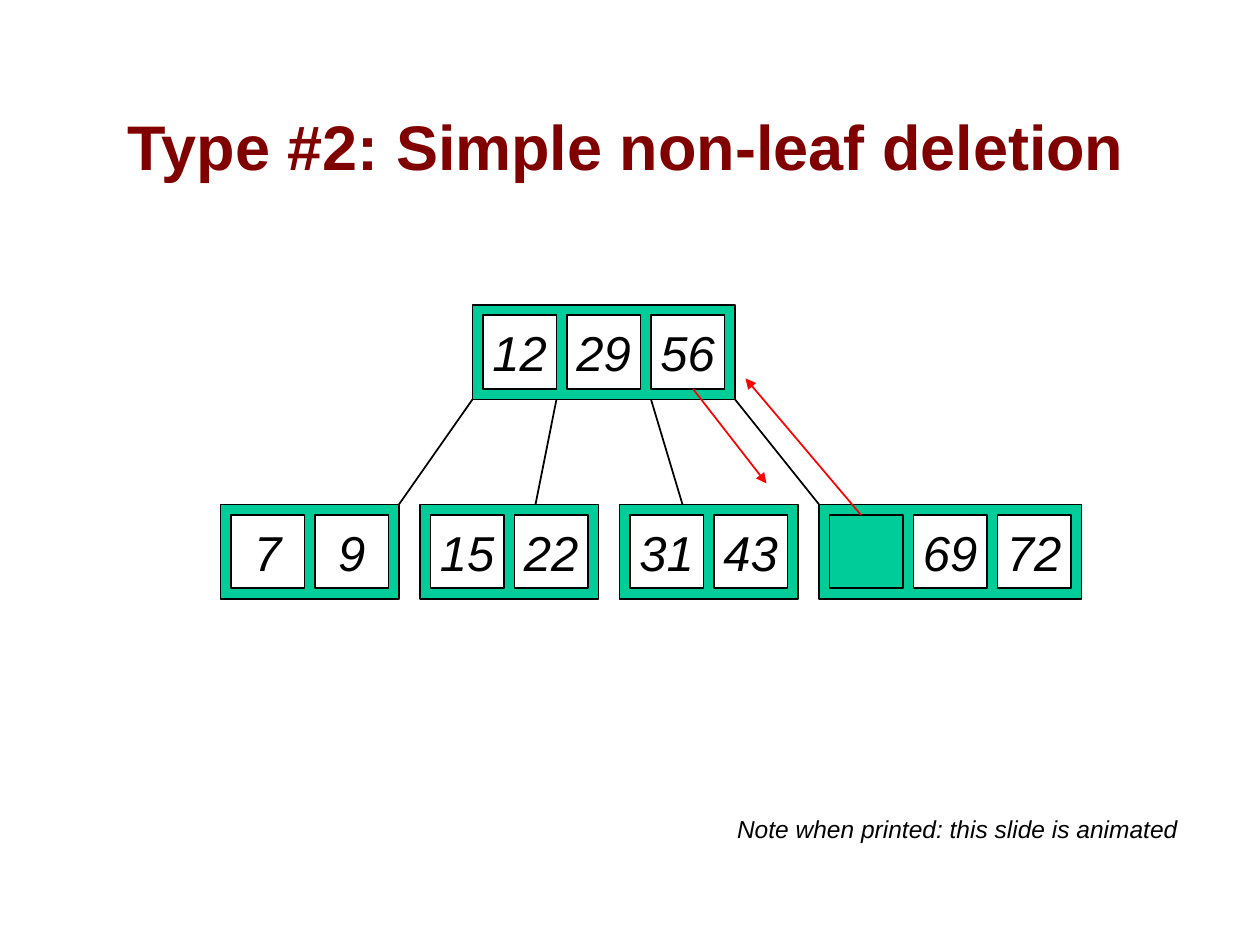
from lxml import etree
from pptx import Presentation
from pptx.dml.color import RGBColor
from pptx.enum import shapes, text
from pptx.oxml.ns import qn
from pptx.util import Inches, Pt

BLACK = RGBColor(0x00, 0x00, 0x00)
WHITE = RGBColor(0xFF, 0xFF, 0xFF)
GREEN = RGBColor(0x00, 0xCC, 0x99)
RED = RGBColor(0xFF, 0x00, 0x00)
MAROON = RGBColor(0x80, 0x00, 0x00)

# The tree sits on a grid of twelfths of an inch
UNIT = Inches(1) // 12
PAD = UNIT
CELL = 7 * UNIT
PITCH = CELL + PAD
NODE_HEIGHT = CELL + 2 * PAD
LEAF_GAP = 2 * UNIT

ROOT = ["12", "29", "56"]
LEAVES = [["7", "9"], ["15", "22"], ["31", "43"], [None, "69", "72"]]


def style_text(frame, words, size, color, bold=False, italic=False):
    paragraph = frame.paragraphs[0]
    paragraph.text = words
    paragraph.alignment = text.PP_ALIGN.CENTER
    font = paragraph.font
    font.name, font.size, font.bold, font.italic = "Arial", Pt(size), bold, italic
    font.color.rgb = color


def add_label(slide, left, top, width, height, words, anchor, wrap, **style):
    frame = slide.shapes.add_textbox(left, top, width, height).text_frame
    frame.word_wrap = wrap
    frame.vertical_anchor = anchor
    style_text(frame, words, **style)


def add_box(slide, left, top, width, height, fill):
    box = slide.shapes.add_shape(shapes.MSO_SHAPE.RECTANGLE, left, top, width, height)
    box.shadow.inherit = False
    box.fill.solid()
    box.fill.fore_color.rgb = fill
    box.line.color.rgb = BLACK
    box.line.width = Pt(1)
    return box


def add_line(slide, start, end, color=BLACK, arrow=False):
    line = slide.shapes.add_connector(shapes.MSO_CONNECTOR.STRAIGHT, *start, *end)
    line.line.color.rgb = color
    line.line.width = Pt(1)
    if arrow:
        etree.SubElement(line.line._get_or_add_ln(), qn("a:tailEnd"), type="triangle")
    etree.SubElement(line._element.spPr, qn("a:effectLst"))


def node_width(keys):
    return len(keys) * PITCH + PAD


def add_node(slide, left, top, keys):
    """A tree node with one cell per key; None marks an emptied cell."""
    add_box(slide, left, top, node_width(keys), NODE_HEIGHT, GREEN)
    for index, key in enumerate(keys):
        cell = add_box(slide, left + PAD + index * PITCH, top + PAD, CELL, CELL,
                       WHITE if key else GREEN)
        if key:
            frame = cell.text_frame
            frame.word_wrap = False
            frame.vertical_anchor = text.MSO_ANCHOR.MIDDLE
            style_text(frame, key, 28, BLACK, italic=True)


def add_tree(slide, left, top):
    """The root above its row of leaves; left is the first leaf's edge."""
    root_left = left + 24 * UNIT
    root_bottom = top + NODE_HEIGHT
    leaf_top = top + 19 * UNIT

    add_node(slide, root_left, top, ROOT)
    leaf_left = left
    for keys in LEAVES:
        add_node(slide, leaf_left, leaf_top, keys)
        leaf_left += node_width(keys) + LEAF_GAP

    # Branches: offset along the root's foot, offset along the leaf row
    for root_x, leaf_x in [(0, 17), (8, 30), (17, 44), (25, 57)]:
        add_line(slide, (root_left + root_x * UNIT, root_bottom),
                 (left + leaf_x * UNIT, leaf_top))

    # Red arrows: the deleted key goes down, its replacement goes up
    for start, end in [((45, 8), (52, 17)), ((61, 20), (50, 7))]:
        add_line(slide, (left + start[0] * UNIT, top + start[1] * UNIT),
                 (left + end[0] * UNIT, top + end[1] * UNIT), RED, arrow=True)


def main():
    deck = Presentation()
    deck.slide_width, deck.slide_height = Inches(10), Inches(7.5)
    slide = deck.slides.add_slide(deck.slide_layouts[6])

    # Title
    add_label(slide, Inches(0.44), Inches(0.25), Inches(9.06), Inches(1.25),
              "Type #2: Simple non-leaf deletion", text.MSO_ANCHOR.BOTTOM, True,
              size=36, color=MAROON, bold=True)
    # Tree
    add_tree(slide, Inches(1.75), Inches(2.42))
    # Footnote
    add_label(slide, Inches(5.75), Inches(6.41), Inches(3.7), Inches(0.34),
              "Note when printed: this slide is animated", text.MSO_ANCHOR.MIDDLE, False,
              size=14, color=BLACK, italic=True)

    deck.save("out.pptx")


if __name__ == "__main__":
    main()
